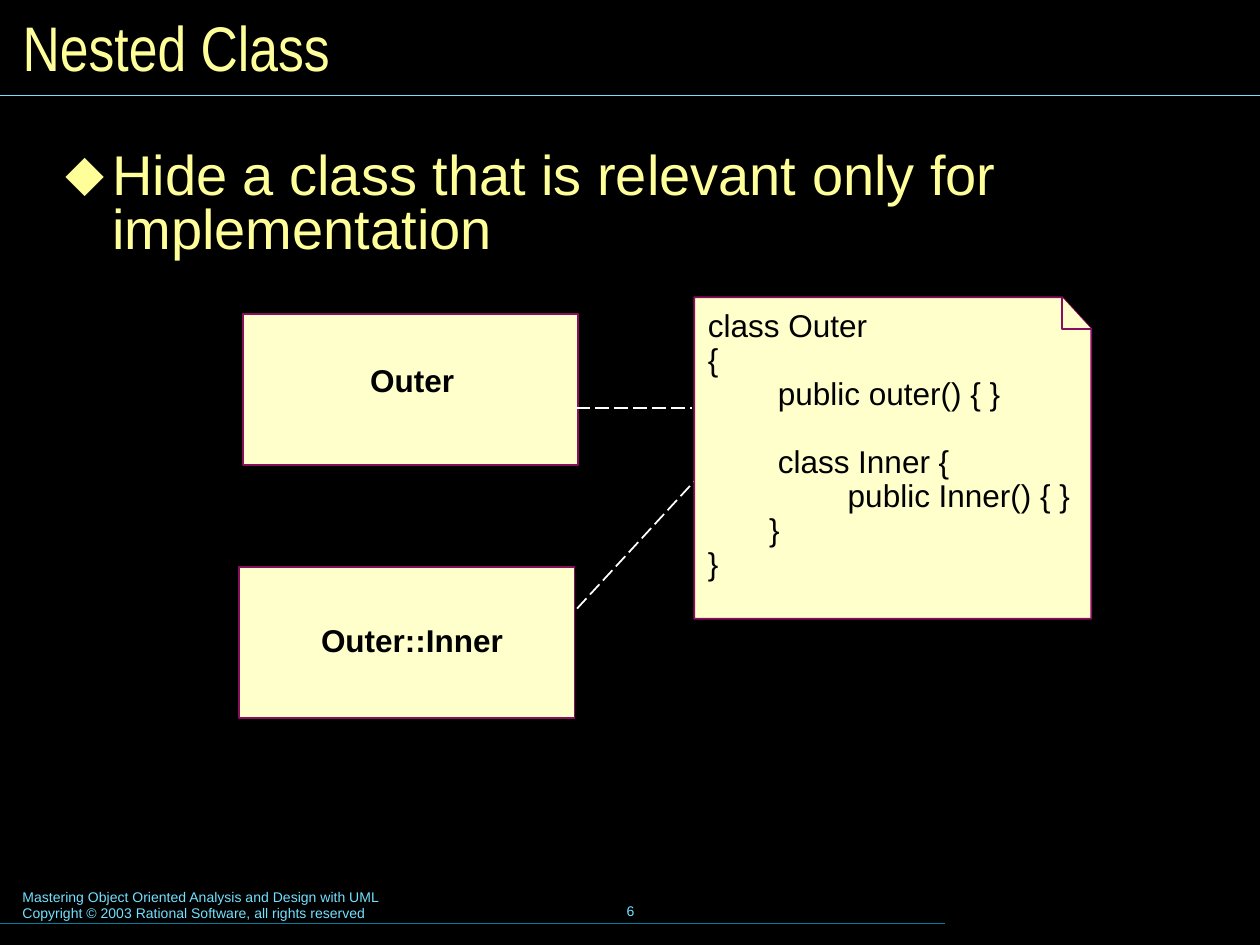
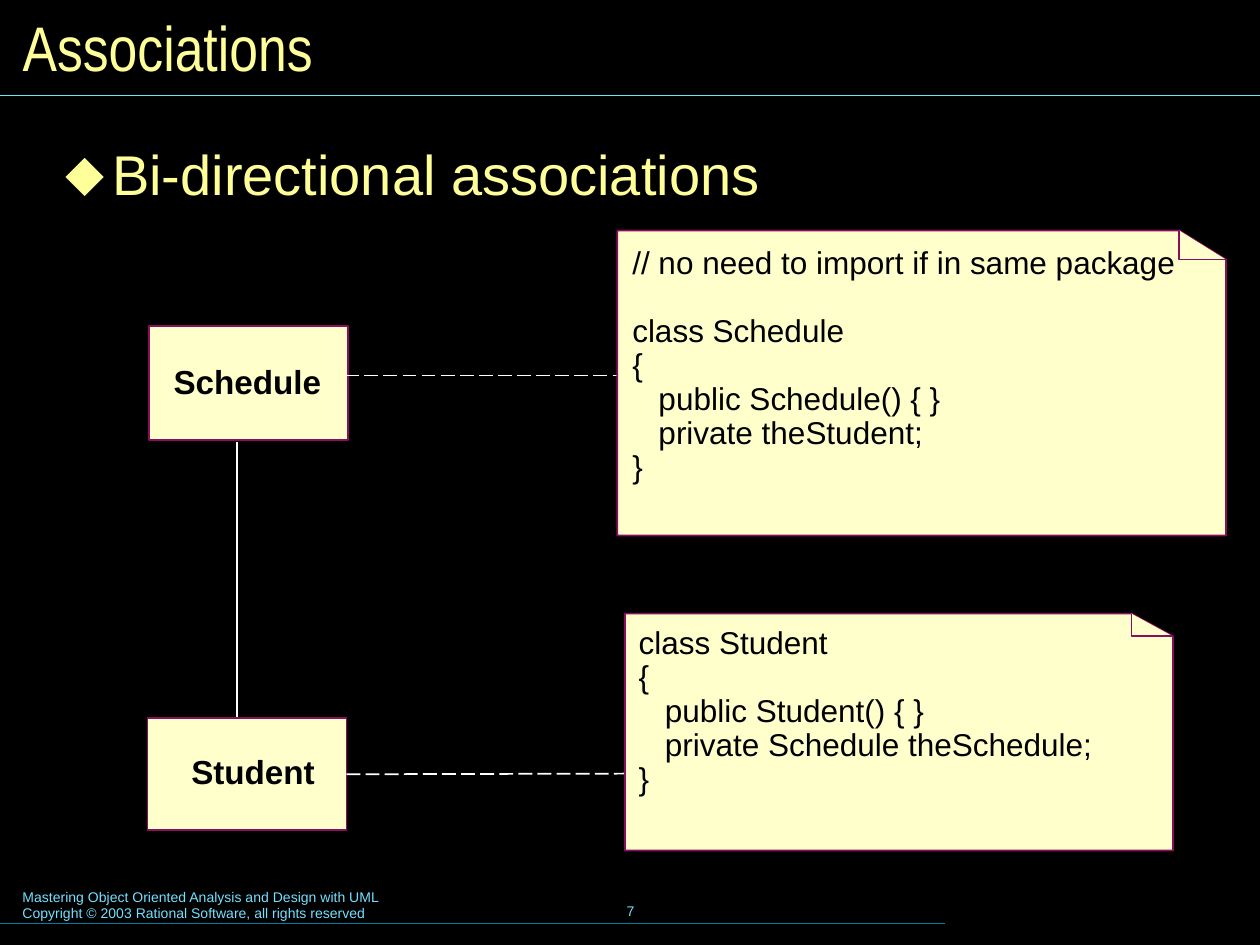
from lxml.etree import SubElement
from pptx import Presentation
from pptx.dml.color import RGBColor
from pptx.enum.dml import MSO_LINE
from pptx.enum.shapes import MSO_CONNECTOR, MSO_SHAPE
from pptx.enum.text import MSO_ANCHOR, MSO_AUTO_SIZE, PP_ALIGN
from pptx.oxml.ns import qn
from pptx.util import Inches, Pt

COLORS = {
    "background": "000000",
    "heading": "FFFF99",
    "footer": "73E1FF",
    "footer_rule": "007E9F",
    "paper": "FFFFCC",
    "outline": "8A0E5E",
    "link": "FFFFFF",
    "ink": "000000",
}
FOOTER = [
    "Mastering Object Oriented Analysis and Design with UML",
    "Copyright © 2003 Rational Software, all rights reserved",
]
SLIDES = [
    {
        "number": 6,
        "title": "Nested Class",
        "bullet": "Hide a class that is relevant only for implementation",
        "class_size": 18,
        "classes": [
            ("Outer", (1.93, 2.49, 2.66, 1.2), (2.84, 2.85, 0.86, 0.36)),
            ("Outer::Inner", (1.9, 4.5, 2.66, 1.2), (2.45, 4.91, 1.64, 0.36)),
        ],
        "links": [
            ((4.57, 3.24), (5.49, 3.24), "dashed"),
            ((4.58, 4.83), (5.51, 3.82), "dashed"),
        ],
        "notes": [
            {
                "box": (5.51, 2.36, 3.15, 2.55),
                "fold": (0.23, 0.25),
                "code_box": (5.52, 2.41, 3.48, 2.25),
                "code": [
                    "class Outer",
                    "{",
                    "        public outer() { }",
                    "",
                    "        class Inner {",
                    "                public Inner() { }",
                    "       }",
                    "}",
                ],
            },
        ],
    },
    {
        "number": 7,
        "title": "Associations",
        "bullet": "Bi-directional associations",
        "class_size": 19,
        "classes": [
            ("Schedule", (1.18, 2.59, 1.58, 0.9), (1.28, 2.85, 1.37, 0.39)),
            ("Student", (1.17, 5.7, 1.58, 0.89), (1.42, 5.95, 1.18, 0.39)),
        ],
        "links": [
            ((1.88, 3.51), (1.88, 5.69), "solid"),
            ((2.74, 2.98), (4.92, 2.98), "dashed"),
            (("Student", 3), (4.97, 6.14), "dashed"),
        ],
        "notes": [
            {
                "box": (4.96, 4.87, 4.35, 1.88),
                "fold": (0.33, 0.18),
                "code_box": (4.97, 4.93, 3.79, 1.44),
                "code": [
                    "class Student",
                    "{",
                    "   public Student() { }",
                    "   private Schedule theSchedule;",
                    "}",
                ],
            },
            {
                "box": (4.9, 1.83, 4.83, 2.42),
                "fold": (0.37, 0.23),
                "code_box": (4.92, 1.91, 4.5, 1.98),
                "code": [
                    "// no need to import if in same package",
                    "",
                    "class Schedule",
                    "{",
                    "   public Schedule() { }",
                    "   private theStudent;",
                    "}",
                ],
            },
        ],
    },
]

TITLE_BOX = (0.08, 0.08, 9.84, 0.58)
BODY_BOX = (0.4, 1.15, 9.29, 5.52)
FOOTER_BOX = (0.08, 7, 5.1, 0.37)
NUMBER_BOX = (3.42, 6.98, 3.17, 0.5)
RULES = [
    ((0, 7.33), (7.5, 7.33), "footer_rule"),
    ((0, 0.76), (10, 0.76), "footer"),
]
TITLE_FONT = {"name": "Arial Narrow", "size": Pt(36), "bold": False}
BODY_FONT = {"name": "Arial", "size": Pt(32)}
FOOTER_FONT = {"name": "Arial", "size": Pt(8)}
CODE_FONT = {"name": "Arial", "size": Pt(18)}
CODE_PARAGRAPH = {"line_spacing": 0.9}


def inches(values):
    return [Inches(value) for value in values]


def rgb(color):
    return RGBColor.from_string(COLORS[color])


def set_all(target, values):
    for name, value in values.items():
        setattr(target, name, value)


def place(shape, box):
    set_all(shape, dict(zip(("left", "top", "width", "height"), inches(box))))


def write(shape, lines, font, color, paragraph_format=None, frame_format=None, inset=0.1):
    frame = shape.text_frame
    set_all(frame, {
        "auto_size": MSO_AUTO_SIZE.NONE,
        "word_wrap": True,
        "vertical_anchor": MSO_ANCHOR.TOP,
        "margin_left": Inches(inset),
        "margin_right": Inches(inset),
        "margin_top": Inches(inset / 2),
        "margin_bottom": Inches(inset / 2),
        **(frame_format or {}),
    })
    for index, line in enumerate(lines):
        paragraph = frame.add_paragraph() if index else frame.paragraphs[0]
        set_all(paragraph, paragraph_format or {})
        if line:
            run = paragraph.add_run()
            run.text = line
            set_all(run.font, font)
            run.font.color.rgb = rgb(color)


def add_text(slide, box, *content, **options):
    write(slide.shapes.add_textbox(*inches(box)), *content, **options)


def add_line(slide, start, end, color, width):
    line = slide.shapes.add_connector(MSO_CONNECTOR.STRAIGHT, *inches(start + end))
    line.line.color.rgb = rgb(color)
    line.line.width = Pt(width)
    SubElement(line.element.spPr, qn("a:effectLst"))
    return line


def paint(shape):
    shape.shadow.inherit = False
    shape.fill.solid()
    shape.fill.fore_color.rgb = rgb("paper")
    shape.line.color.rgb = rgb("outline")
    shape.line.width = Pt(1)


def add_outline(slide, points, close):
    first, *rest = [inches(point) for point in points]
    builder = slide.shapes.build_freeform(*first, scale=1.0)
    builder.add_line_segments(rest, close=close)
    paint(builder.convert_to_shape())


def add_note(slide, note):
    left, top, width, height = note["box"]
    right, bottom = left + width, top + height
    fold_x, fold_y = right - note["fold"][0], top + note["fold"][1]
    add_outline(slide, [(right, bottom), (left, bottom), (left, top),
                        (fold_x, top), (right, fold_y)], True)
    add_outline(slide, [(right, fold_y), (fold_x, fold_y), (fold_x, top)], False)
    add_text(slide, note["code_box"], note["code"], CODE_FONT, "ink",
             CODE_PARAGRAPH, {"word_wrap": False})


def add_diamond(paragraph):
    properties = paragraph._p.get_or_add_pPr()
    properties.set("marL", str(Inches(0.37)))
    properties.set("indent", str(-Inches(0.37)))
    bullet_color = SubElement(properties, qn("a:buClr"))
    SubElement(bullet_color, qn("a:srgbClr"), val=COLORS["heading"])
    SubElement(properties, qn("a:buChar"), char="⬥")


def add_frame(slide, content):
    slide.background.fill.solid()
    slide.background.fill.fore_color.rgb = rgb("background")
    title, body = slide.shapes.title, slide.placeholders[1]
    place(title, TITLE_BOX)
    write(title, [content["title"]], TITLE_FONT, "heading",
          {"alignment": PP_ALIGN.LEFT}, {"vertical_anchor": MSO_ANCHOR.MIDDLE})
    place(body, BODY_BOX)
    add_diamond(body.text_frame.paragraphs[0])
    write(body, [content["bullet"]], BODY_FONT, "heading",
          {"line_spacing": 0.8, "space_before": Pt(0)}, inset=0.12)
    add_text(slide, FOOTER_BOX, FOOTER, FOOTER_FONT, "footer")
    add_text(slide, NUMBER_BOX, [str(content["number"])], FOOTER_FONT, "footer",
             {"alignment": PP_ALIGN.CENTER},
             {"vertical_anchor": MSO_ANCHOR.MIDDLE, "word_wrap": False})
    for start, end, color in RULES:
        add_line(slide, start, end, color, 0.75)


def add_diagram(slide, content):
    classes = {}
    for name, box, _ in content["classes"]:
        classes[name] = slide.shapes.add_shape(MSO_SHAPE.RECTANGLE, *inches(box))
        paint(classes[name])
    for start, end, style in content["links"]:
        owner = classes.get(start[0])
        link = add_line(slide, end if owner else start, end, "link", 1)
        if owner:
            link.begin_connect(owner, start[1])
        if style == "dashed":
            link.line.dash_style = MSO_LINE.LONG_DASH
    for note in content["notes"]:
        add_note(slide, note)
    class_font = {"name": "Arial", "size": Pt(content["class_size"]), "bold": True}
    for name, _, label_box in content["classes"]:
        add_text(slide, label_box, [name], class_font, "ink",
                 CODE_PARAGRAPH, {"word_wrap": False})


def main():
    prs = Presentation()
    prs.slide_width, prs.slide_height = Inches(10), Inches(7.5)
    for content in SLIDES:
        slide = prs.slides.add_slide(prs.slide_layouts[1])
        add_frame(slide, content)
        add_diagram(slide, content)
    prs.save("out.pptx")


if __name__ == "__main__":
    main()
